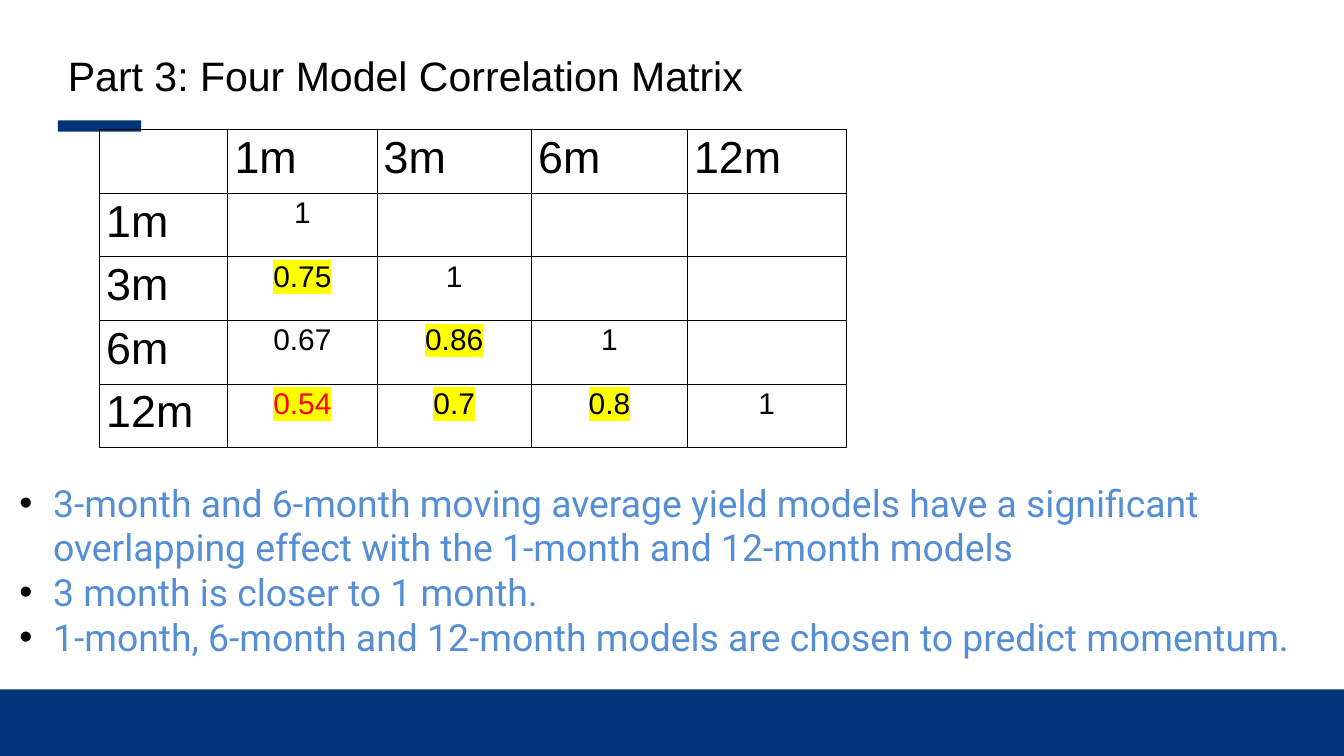
from pptx import Presentation
from pptx.dml.color import RGBColor
from pptx.enum.shapes import MSO_SHAPE
from pptx.enum.text import MSO_ANCHOR, MSO_AUTO_SIZE, PP_ALIGN
from pptx.oxml import parse_xml
from pptx.oxml.ns import nsdecls, qn
from pptx.util import Pt

RECT = MSO_SHAPE.RECTANGLE
TOP = MSO_ANCHOR.TOP
NO_FIT = MSO_AUTO_SIZE.NONE
LEFT, CENTER = PP_ALIGN.LEFT, PP_ALIGN.CENTER

NAVY, BLUE, BLACK, RED, YELLOW = "003478", "558ED5", "000000", "FF0000", "FFFF00"

TITLE = "Part 3: Four Model Correlation Matrix"
MODELS = ["1m", "3m", "6m", "12m"]
CORRELATIONS = [["1"], ["0.75", "1"], ["0.67", "0.86", "1"], ["0.54", "0.7", "0.8", "1"]]
HIGHLIGHTED = {"0.75", "0.86", "0.54", "0.7", "0.8"}
COLUMN_WIDTHS = [137.5, 159.8, 165.6, 167, 170]
ROW_HEIGHT = 68.1
FINDINGS = [
    "3-month and 6-month moving average yield models have a significant "
    "overlapping effect with the 1-month and 12-month models",
    "3 month is closer to 1 month.",
    "1-month, 6-month and 12-month models are chosen to predict momentum.",
]


def rgb(color):
    return RGBColor.from_string(color)


def place(sp, left, top, width, height):
    sp.left, sp.top, sp.width, sp.height = Pt(left), Pt(top), Pt(width), Pt(height)


def format_run(r, size, color, name="Arial"):
    r.font.size = Pt(size)
    r.font.name = name
    r.font.color.rgb = rgb(color)


def highlight(r, color):
    fill = r.font._element.find(qn("a:solidFill"))
    fill.addnext(parse_xml(
        f'<a:highlight {nsdecls("a")}><a:srgbClr val="{color}"/></a:highlight>'))


def add_bullet(p, color):
    pPr = p._p.get_or_add_pPr()
    pPr.set("marL", str(Pt(36)))
    pPr.set("indent", str(-Pt(36)))
    for xml in (f'<a:buClr {nsdecls("a")}><a:srgbClr val="{color}"/></a:buClr>',
                f'<a:buFont {nsdecls("a")} typeface="Arial"/>',
                f'<a:buChar {nsdecls("a")} char="•"/>'):
        pPr.append(parse_xml(xml))


def set_title(s):
    sp = s.shapes.title
    place(sp, 72.7, 43.9, 1353, 64)
    tf = sp.text_frame
    tf.text = TITLE
    tf.auto_size = NO_FIT
    tf.vertical_anchor = TOP
    tf.margin_left = tf.margin_right = tf.margin_top = tf.margin_bottom = 0
    p = tf.paragraphs[0]
    p.alignment = LEFT
    p.line_spacing = 1.2
    format_run(p.runs[0], 44, BLACK)


def set_findings(s):
    sp = s.placeholders[1]
    place(sp, 13.7, 510.5, 1470, 201)
    tf = sp.text_frame
    tf.text = "\n".join(FINDINGS)
    tf.auto_size = NO_FIT
    for p in tf.paragraphs:
        p.space_before = Pt(0)
        add_bullet(p, BLACK)
        format_run(p.runs[0], 40, BLUE, "Roboto")


def add_bar(s, left, top, width, height):
    sp = s.shapes.add_shape(RECT, Pt(left), Pt(top), Pt(width), Pt(height))
    sp.shadow.inherit = False
    sp.fill.solid()
    sp.fill.fore_color.rgb = rgb(NAVY)
    sp.line.fill.background()


def set_borders(cell, color):
    tcPr = cell._tc.get_or_add_tcPr()
    for i, side in enumerate("LRTB"):
        tcPr.insert(i, parse_xml(
            f'<a:ln{side} {nsdecls("a")} w="{Pt(1)}"><a:solidFill>'
            f'<a:srgbClr val="{color}"/></a:solidFill></a:ln{side}>'))


def fill_label(cell, text):
    cell.text = text
    format_run(cell.text_frame.paragraphs[0].runs[0], 48, BLACK)


def fill_value(cell, text):
    cell.text = text
    p = cell.text_frame.paragraphs[0]
    p.alignment = CENTER
    r = p.runs[0]
    format_run(r, 32, RED if text == "0.54" else BLACK)
    if text in HIGHLIGHTED:
        highlight(r, YELLOW)


def add_matrix(s):
    n = len(MODELS) + 1
    table = s.shapes.add_table(n, n, Pt(106.6), Pt(139), Pt(sum(COLUMN_WIDTHS)),
                               Pt(n * ROW_HEIGHT)).table
    table.first_row = table.horz_banding = False
    for column, width in zip(table.columns, COLUMN_WIDTHS):
        column.width = Pt(width)
    for row in table.rows:
        row.height = Pt(ROW_HEIGHT)
    for cell in table.iter_cells():
        cell.fill.background()
        set_borders(cell, BLACK)
    for i, (model, values) in enumerate(zip(MODELS, CORRELATIONS), 1):
        fill_label(table.cell(0, i), model)
        fill_label(table.cell(i, 0), model)
        for j, value in enumerate(values, 1):
            fill_value(table.cell(i, j), value)


def main():
    prs = Presentation()
    prs.slide_width, prs.slide_height = Pt(1440), Pt(810)
    s = prs.slides.add_slide(prs.slide_layouts[1])
    set_title(s)
    set_findings(s)
    add_bar(s, 61.9, 128.9, 89.3, 12.2)
    add_bar(s, 0, 738.7, 1440, 71.3)
    add_matrix(s)
    prs.save("out.pptx")


if __name__ == "__main__":
    main()
